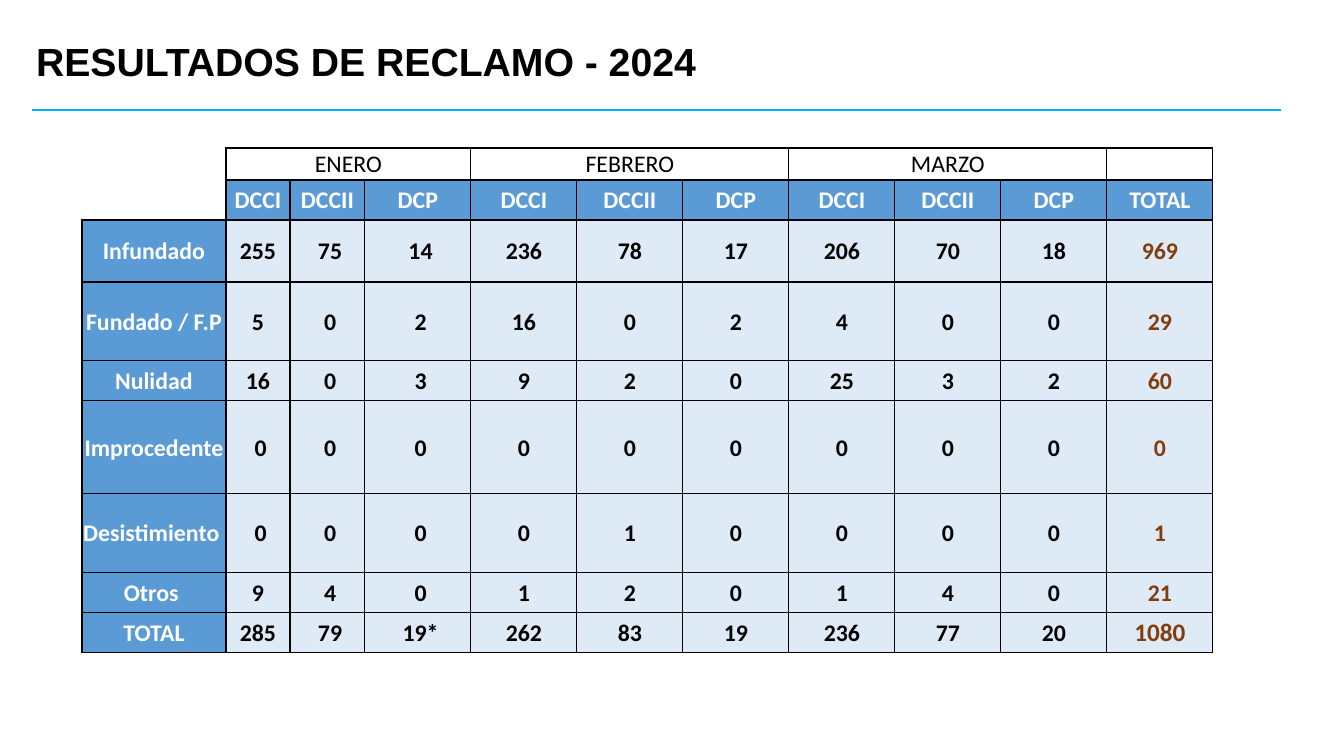
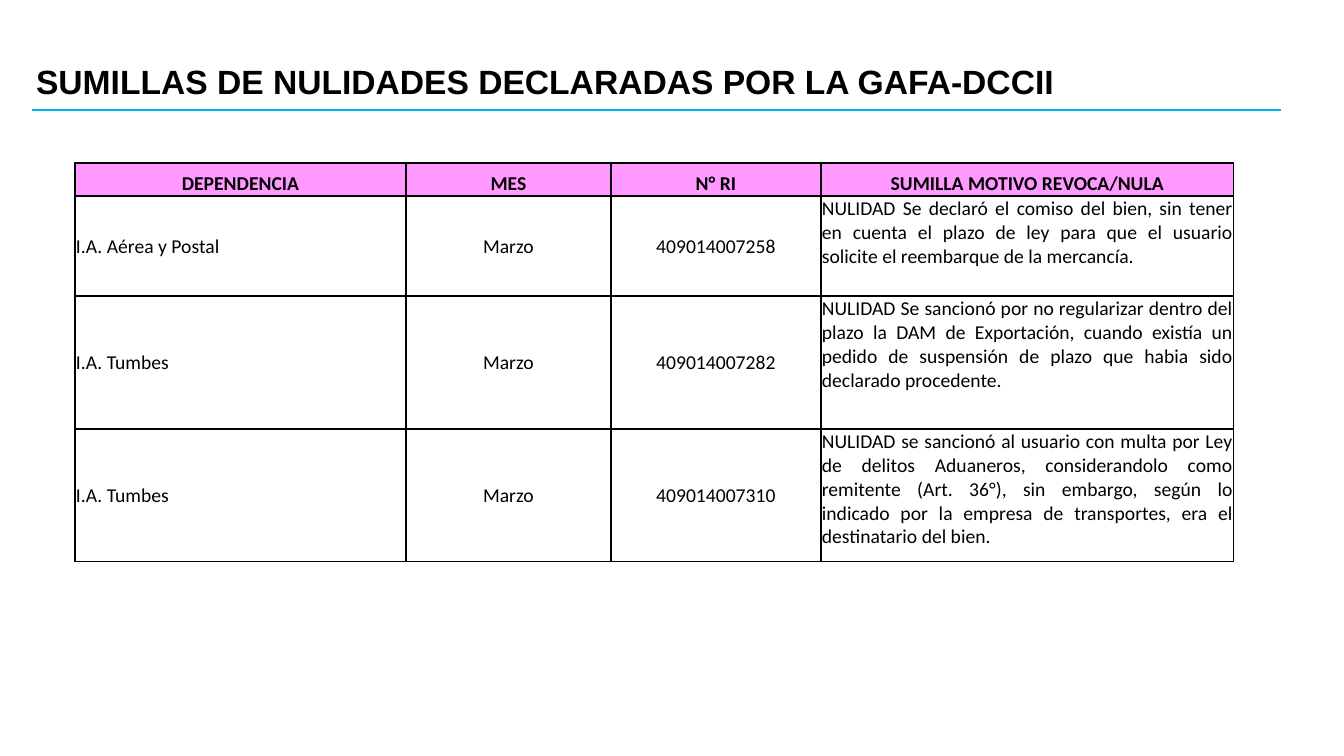
from lxml.etree import SubElement
from pptx import Presentation
from pptx.dml.color import RGBColor
from pptx.enum.shapes import MSO_CONNECTOR
from pptx.enum.text import MSO_ANCHOR, PP_ALIGN
from pptx.oxml.ns import qn
from pptx.util import Pt

EMU_PER_PX = 914400 / 100.8
COLORS = {
    "black": "000000",
    "white": "FFFFFF",
    "rule": "00B0F0",
    "header": "5B9BD5",
    "body": "DEEAF6",
    "total": "833C0C",
    "pink": "FF99FF",
}
MONTHS = ["ENERO", "FEBRERO", "MARZO"]
OFFICES = ["DCCI", "DCCII", "DCP"]
CLAIM_RESULTS = [
    ["Infundado", "255", " 75", " 14", "236", "78", "17", "206", "70", "18", "969"],
    ["Fundado / F.P", "5", " 0", " 2", "16", "0", "2", "4", "0", "0", "29"],
    ["Nulidad", "16", " 0", " 3", "9", "2", "0", "25", "3", "2", "60"],
    ["Improcedente", " 0", " 0", " 0", "0", "0", "0", "0", "0", "0", "0"],
    ["Desistimiento ", " 0", " 0", " 0", "0", "1", "0", "0", "0", "0", "1"],
    ["Otros ", "9", " 4", " 0", "1", "2", "0", "1", "4", "0", "21"],
    ["TOTAL", "285", " 79", " 19*", "262", "83", "19", "236", "77", "20", "1080"],
]
SUMMARY_HEADINGS = ["DEPENDENCIA", "MES", "N° RI", "SUMILLA MOTIVO REVOCA/NULA"]
SUMMARIES = [
    ["I.A. Aérea y Postal", "Marzo", "409014007258",
     "NULIDAD Se declaró el comiso del bien, sin tener en cuenta el plazo de ley "
     "para que el usuario solicite el reembarque de la mercancía."],
    ["I.A. Tumbes", "Marzo", "409014007282",
     "NULIDAD Se sancionó por no regularizar dentro del plazo la DAM de Exportación, "
     "cuando existía un pedido de suspensión de plazo que habia sido declarado procedente."],
    ["I.A. Tumbes", "Marzo", "409014007310",
     "NULIDAD se sancionó al usuario con multa por Ley de delitos Aduaneros, "
     "considerandolo como remitente (Art. 36°), sin embargo, según lo indicado por "
     "la empresa de transportes, era el destinatario del bien."],
]


def px(length):
    return round(length * EMU_PER_PX)


def rgb(name):
    return RGBColor.from_string(COLORS[name])


def write(frame, text, size, font="Calibri", color="black", bold=False,
          align=PP_ALIGN.CENTER, spacing=None):
    paragraph = frame.paragraphs[0]
    paragraph.alignment = align
    paragraph.line_spacing = spacing
    span = paragraph.add_run()
    span.text = text
    span.font.name = font
    span.font.size = Pt(size)
    span.font.bold = bold
    span.font.color.rgb = rgb(color)


def set_borders(cell, sides):
    """Draw the named sides (L, R, T, B) in black and leave the others open."""
    properties = cell._tc.get_or_add_tcPr()
    for index, side in enumerate("LRTB"):
        line = properties.makeelement(qn(f"a:ln{side}"), {"w": str(Pt(1))})
        properties.insert(index, line)
        if side in sides:
            fill = SubElement(line, qn("a:solidFill"))
            SubElement(fill, qn("a:srgbClr"), val=COLORS["black"])
        else:
            SubElement(line, qn("a:noFill"))


class Report:
    """Holds the deck, its shared style and the current page."""

    def __init__(self):
        self.deck = Presentation()
        self.deck.slide_width, self.deck.slide_height = px(1344), px(756)
        self.page = None

    def add_page(self, title, size, anchor=MSO_ANCHOR.MIDDLE):
        self.page = self.deck.slides.add_slide(self.deck.slide_layouts[5])
        self.add_rule(32, 110, 1281)
        box = self.page.shapes.title
        box.left, box.top, box.width, box.height = map(px, (26, 37, 1159, 94))
        frame = box.text_frame
        frame.word_wrap = True
        frame.vertical_anchor = anchor
        frame.margin_top = frame.margin_bottom = px(6)
        write(frame, title, size, font="Arial", bold=True,
              align=PP_ALIGN.LEFT, spacing=0.9)

    def add_rule(self, left, top, right):
        rule = self.page.shapes.add_connector(
            MSO_CONNECTOR.STRAIGHT, px(left), px(top), px(right), px(top))
        rule.line.color.rgb = rgb("rule")
        rule.line.width = Pt(1.5)
        SubElement(rule._element.spPr, qn("a:effectLst"))

    def add_table(self, left, top, widths, heights):
        table = self.page.shapes.add_table(
            len(heights), len(widths), px(left), px(top),
            px(sum(widths)), px(sum(heights))).table
        table.first_row = table.horz_banding = False
        for column, width in zip(table.columns, widths):
            column.width = px(width)
        for row, height in zip(table.rows, heights):
            row.height = px(height)
        return table

    def fill_cell(self, cell, text, size, fill=None, sides="LRTB",
                  anchor=MSO_ANCHOR.MIDDLE, **style):
        cell.margin_left = cell.margin_right = cell.margin_top = px(1)
        cell.margin_bottom = 0
        cell.vertical_anchor = anchor
        if fill:
            cell.fill.solid()
            cell.fill.fore_color.rgb = rgb(fill)
        else:
            cell.fill.background()
        set_borders(cell, sides)
        write(cell.text_frame, text, size, **style)


def add_results_page(report):
    report.add_page("RESULTADOS DE RECLAMO - 2024", 28, anchor=MSO_ANCHOR.TOP)
    table = report.add_table(82, 148, [144, 64, 75] + [106] * 8,
                             [32, 40, 62, 79, 40, 93, 79, 40, 40])
    month_row = [""]
    for month in MONTHS:
        month_row += [month, "", ""]
    office_row = [""] + OFFICES * len(MONTHS) + ["TOTAL"]
    heading = {"fill": "header", "color": "white", "bold": True}
    last = len(office_row) - 1

    for column, text in enumerate(month_row + [""]):
        sides = "LRTB" if column else "RB"
        report.fill_cell(table.cell(0, column), text, 17, sides=sides)
    report.fill_cell(table.cell(1, 0), "", 17, sides="RB")
    for column in range(1, last + 1):
        report.fill_cell(table.cell(1, column), office_row[column], 17, **heading)
    for row, values in enumerate(CLAIM_RESULTS, start=2):
        for column, text in enumerate(values):
            style = {"fill": "body", "bold": True}
            if column == 0:
                style = heading
            elif column == last:
                style["color"] = "total"
            size = 18 if text == "1080" else 17
            report.fill_cell(table.cell(row, column), text, size, **style)

    table.cell(0, 0).merge(table.cell(1, 0))
    for column in range(1, last, len(OFFICES)):
        table.cell(0, column).merge(table.cell(0, column + len(OFFICES) - 1))


def add_summaries_page(report):
    report.add_page("SUMILLAS DE NULIDADES DECLARADAS POR LA GAFA-DCCII", 24)
    table = report.add_table(75, 163, [331, 205, 210, 413], [33, 100, 133, 133])
    for column, text in enumerate(SUMMARY_HEADINGS):
        report.fill_cell(table.cell(0, column), text, 14, fill="pink",
                         anchor=MSO_ANCHOR.BOTTOM, bold=True)
    aligns = [PP_ALIGN.LEFT, PP_ALIGN.CENTER, PP_ALIGN.CENTER, PP_ALIGN.JUSTIFY]
    anchors = [MSO_ANCHOR.MIDDLE] * 3 + [MSO_ANCHOR.TOP]
    for row, values in enumerate(SUMMARIES, start=1):
        for column, text in enumerate(values):
            report.fill_cell(table.cell(row, column), text, 14,
                             anchor=anchors[column], align=aligns[column])


def main():
    report = Report()
    add_results_page(report)
    add_summaries_page(report)
    report.deck.save("out.pptx")


if __name__ == "__main__":
    main()
